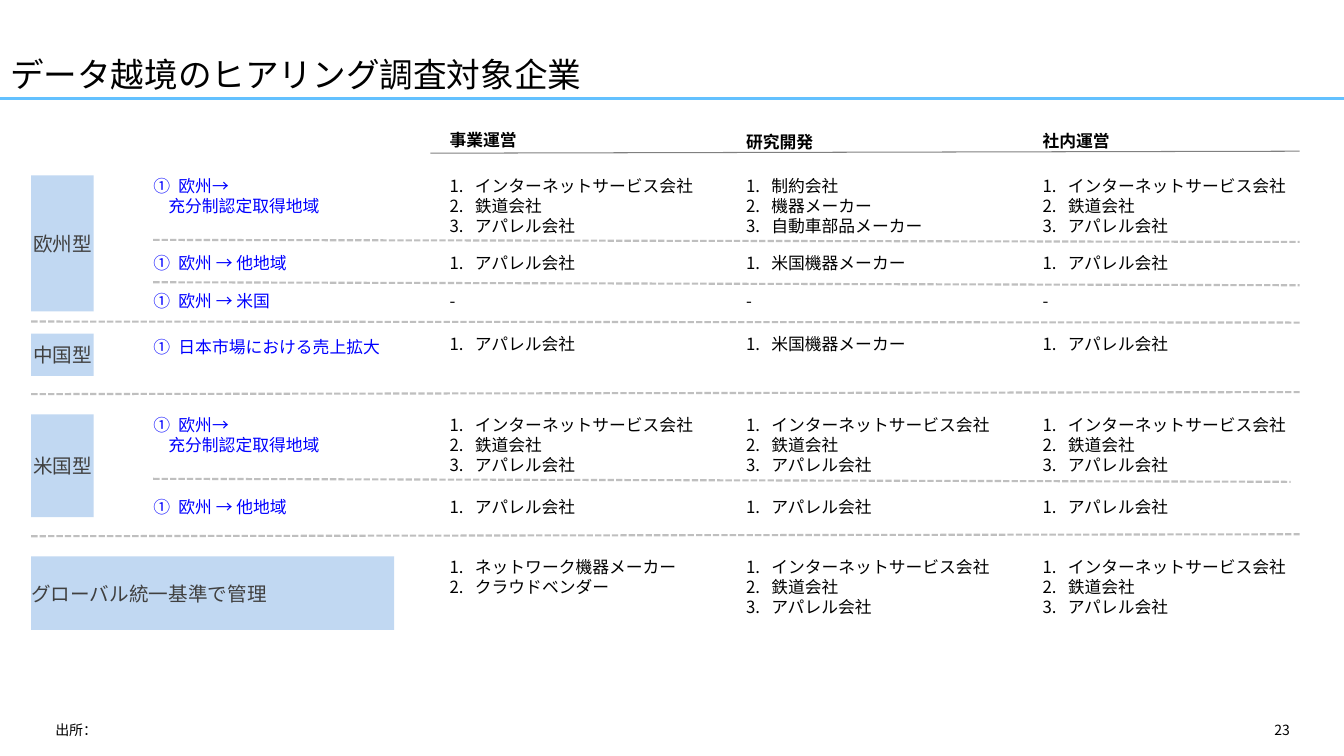
"""Build the slide listing the companies interviewed about cross-border data."""
import lxml.etree
import pptx
import pptx.dml.color
import pptx.enum.dml
import pptx.enum.shapes
import pptx.enum.text
import pptx.oxml.ns
import pptx.util

RGBColor = pptx.dml.color.RGBColor
Inches = pptx.util.Inches
PP_ALIGN = pptx.enum.text.PP_ALIGN
ANCHOR = pptx.enum.text.MSO_ANCHOR
BLACK = RGBColor(0x00, 0x00, 0x00)
ROUTE_BLUE = RGBColor(0x00, 0x00, 0xFF)
TITLE_BLUE = RGBColor(0x63, 0xC1, 0xFF)
PALE_BLUE = RGBColor(0xC1, 0xD8, 0xF2)
DARK_GREY = RGBColor(0x40, 0x40, 0x40)
MID_GREY = RGBColor(0x80, 0x80, 0x80)
LIGHT_GREY = RGBColor(0xBF, 0xBF, 0xBF)
FONT = "Noto Sans CJK JP"
NUMBERED = "arabicPeriod"
CIRCLED = "circleNumDbPlain"

LEFT, ROUTE_LEFT, RIGHT = 0.31, 1.52, 12.89
COLUMNS = [4.46, 7.4, 10.34]
CELL_WIDTH, LINE_HEIGHT, TYPE_WIDTH = 2.58, 0.2, 0.62

presentation = pptx.Presentation()
presentation.slide_width = Inches(13.33)
presentation.slide_height = Inches(7.5)
slide = presentation.slides.add_slide(presentation.slide_layouts[5])


def write(frame, text, size=12, color=BLACK, bold=False, align=PP_ALIGN.LEFT,
          anchor=ANCHOR.TOP, inset=(0, 0), wrap=True, numbering=None, spacing=None):
    """Fill a text frame, one paragraph a line."""
    frame.word_wrap = wrap
    frame.vertical_anchor = anchor
    frame.margin_left = frame.margin_right = Inches(inset[0])
    frame.margin_top = frame.margin_bottom = Inches(inset[1])
    for index, line in enumerate(text.split("\n")):
        paragraph = frame.add_paragraph() if index else frame.paragraphs[0]
        paragraph.alignment = align
        paragraph.line_spacing = spacing
        properties = paragraph._p.get_or_add_pPr()
        if numbering == CIRCLED and index:
            properties.set("marL", str(Inches(0.15)))
        elif numbering:
            properties.set("marL", str(Inches(0.25)))
            properties.set("indent", str(-Inches(0.25)))
            lxml.etree.SubElement(properties, pptx.oxml.ns.qn("a:buAutoNum"), type=numbering)
        run = paragraph.add_run()
        run.text = line
        run.font.size = pptx.util.Pt(size)
        run.font.bold = bold
        run.font.color.rgb = color
        run.font.name = FONT
        lxml.etree.SubElement(run._r.get_or_add_rPr(), pptx.oxml.ns.qn("a:ea"), typeface=FONT)


def draw_rule(left, top, right, bottom, color, width, dash=None):
    """Draw one straight rule."""
    rule = slide.shapes.add_connector(
        pptx.enum.shapes.MSO_CONNECTOR.STRAIGHT,
        Inches(left), Inches(top), Inches(right), Inches(bottom))
    rule.line.color.rgb = color
    rule.line.width = pptx.util.Pt(width)
    if dash:
        rule.line.dash_style = dash
    lxml.etree.SubElement(rule._element.spPr, pptx.oxml.ns.qn("a:effectLst"))


draw_rule(0, 0.98, 13.33, 0.98, TITLE_BLUE, 2.25)
title = slide.shapes.title
title.left, title.top = 0, 0
title.width, title.height = presentation.slide_width, Inches(0.99)
write(title.text_frame, "データ越境のヒアリング調査対象企業", size=24,
      anchor=ANCHOR.BOTTOM, inset=(0.1, 0.05), spacing=0.9)

draw_rule(4.27, 1.52, RIGHT, 1.5, MID_GREY, 0.75)
headings = [("事業運営", 1.29), ("研究開発", 1.31), ("社内運営", 1.3)]
for left, (heading, top) in zip(COLUMNS, headings):
    box = slide.shapes.add_textbox(Inches(left), Inches(top), Inches(0.67), Inches(LINE_HEIGHT))
    write(box.text_frame, heading, bold=True, wrap=False)

SERVICE_TRIO = "インターネットサービス会社\n鉄道会社\nアパレル会社"
APPAREL = "アパレル会社"
US_DEVICES = "米国機器メーカー"
ADEQUATE = "欧州→\n充分制認定取得地域"
OTHER = "欧州 → 他地域"
rows = [
    (1.74, 1.74, ADEQUATE,
     [SERVICE_TRIO, "制約会社\n機器メーカー\n自動車部品メーカー", SERVICE_TRIO]),
    (2.51, 2.51, OTHER, [APPAREL, US_DEVICES, APPAREL]),
    (2.88, 2.88, "欧州 → 米国", ["-"] * 3),
    (3.34, 3.31, "日本市場における売上拡大", [APPAREL, US_DEVICES, APPAREL]),
    (4.11, 4.11, ADEQUATE, [SERVICE_TRIO] * 3),
    (4.93, 4.93, OTHER, [APPAREL] * 3),
    (5.52, 5.52, "", ["ネットワーク機器メーカー\nクラウドベンダー", SERVICE_TRIO, SERVICE_TRIO]),
]
for route_top, companies_top, route, companies in rows:
    cells = [(ROUTE_LEFT, route_top, route, ROUTE_BLUE, CIRCLED)] if route else []
    for left, names in zip(COLUMNS, companies):
        cells.append((left, companies_top, names, BLACK, None if names == "-" else NUMBERED))
    for left, top, text, color, numbering in cells:
        height = LINE_HEIGHT * (text.count("\n") + 1)
        box = slide.shapes.add_textbox(
            Inches(left), Inches(top), Inches(CELL_WIDTH), Inches(height))
        write(box.text_frame, text, color=color, numbering=numbering)

dividers = [
    (ROUTE_LEFT, 2.38, RIGHT, 2.4),
    (ROUTE_LEFT, 2.8, RIGHT, 2.83),
    (LEFT, 3.19, RIGHT, 3.2),
    (LEFT, 3.91, RIGHT, 3.89),
    (ROUTE_LEFT, 4.75, 12.8, 4.78),
    (LEFT, 5.32, RIGHT, 5.3),
]
for ends in dividers:
    draw_rule(*ends, LIGHT_GREY, 1.5, pptx.enum.dml.MSO_LINE.SQUARE_DOT)

regimes = [
    ("欧州型", 1.74, TYPE_WIDTH, 1.35, PP_ALIGN.CENTER),
    ("中国型", 3.31, TYPE_WIDTH, 0.42, PP_ALIGN.CENTER),
    ("米国型", 4.11, TYPE_WIDTH, 1.02, PP_ALIGN.CENTER),
    ("グローバル統一基準で管理", 5.52, 3.6, 0.73, PP_ALIGN.LEFT),
]
for regime, top, width, height, align in regimes:
    block = slide.shapes.add_shape(
        pptx.enum.shapes.MSO_SHAPE.RECTANGLE,
        Inches(LEFT), Inches(top), Inches(width), Inches(height))
    block.shadow.inherit = False
    block.fill.solid()
    block.fill.fore_color.rgb = PALE_BLUE
    block.line.fill.background()
    write(block.text_frame, regime, size=14, color=DARK_GREY, align=align, anchor=ANCHOR.MIDDLE)

footers = [("出所：", 0.45, 8.47, PP_ALIGN.LEFT), ("23", 9.42, 3.47, PP_ALIGN.RIGHT)]
for text, left, width, align in footers:
    box = slide.shapes.add_textbox(Inches(left), Inches(7.11), Inches(width), Inches(0.24))
    write(box.text_frame, text, size=10, align=align, inset=(0.1, 0.05))

presentation.save("out.pptx")
